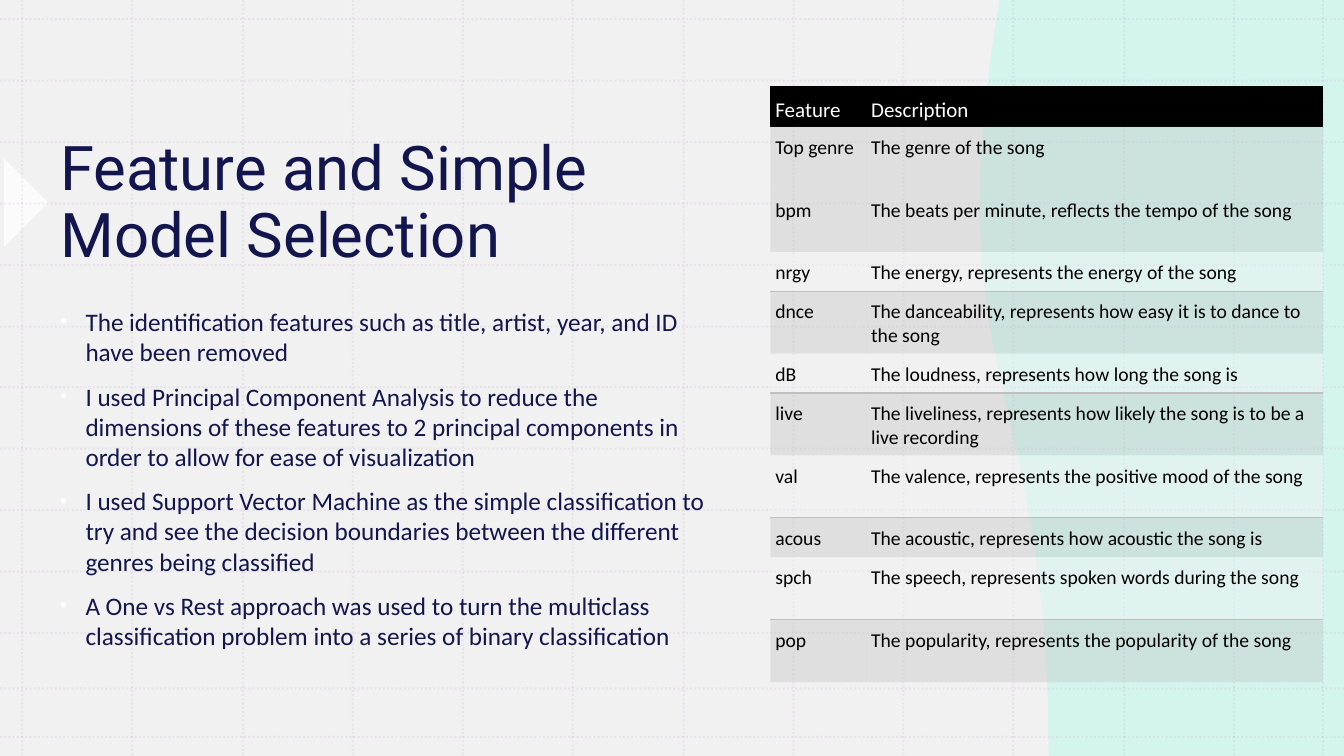
from dataclasses import dataclass

from lxml import etree
from pptx import Presentation
from pptx import util as u
from pptx.dml.color import RGBColor
from pptx.enum import dml, shapes, text
from pptx.oxml import parse_xml
from pptx.oxml.ns import nsdecls, qn

PX = 9144  # EMU, one hundredth of an inch
WIDTH, HEIGHT = 1333, 750

NAVY = RGBColor(0x12, 0x15, 0x4E)
WHITE = RGBColor(0xFF, 0xFF, 0xFF)
BLACK = RGBColor(0x00, 0x00, 0x00)
PAPER = RGBColor(0xEE, 0xEE, 0xEE)
MINT = RGBColor(0xCD, 0xF7, 0xEE)
MAUVE = RGBColor(0xB4, 0x95, 0xC2)
GREY = RGBColor(0xBF, 0xBF, 0xBF)
PALE = RGBColor(0xF2, 0xF2, 0xF2)


@dataclass(frozen=True)
class Backdrop:
    kind: shapes.MSO_SHAPE
    left: int
    top: int
    width: int
    height: int
    rotation: int
    color: RGBColor
    opacity: int


@dataclass(frozen=True)
class Feature:
    name: str
    description: str
    height: int = 62
    dark: bool = False


BACKDROPS = [
    Backdrop(shapes.MSO_SHAPE.RECTANGLE, 0, 0, WIDTH, HEIGHT, 0, PAPER, 80),
    Backdrop(shapes.MSO_SHAPE.RIGHT_TRIANGLE, -27, 170, 62, 62, 225, WHITE, 75),
    Backdrop(shapes.MSO_SHAPE.FLOWCHART_DOCUMENT, 776, 191, 750, 368, 90, MINT, 80),
]

COLUMNS = [round(22 + 109.27 * i) for i in range(12)] + [1312]
ROWS = [round(19 + 60.9 * i) for i in range(11)] + [683, 731]

TITLE = "Feature and Simple Model Selection"
POINTS = [
    "The identification features such as title, artist, year, and ID have been removed",
    "I used Principal Component Analysis to reduce the dimensions of these features "
    "to 2 principal components in order to allow for ease of visualization",
    "I used Support Vector Machine as the simple classification to try and see the "
    "decision boundaries between the different genres being classified",
    "A One vs Rest approach was used to turn the multiclass classification problem "
    "into a series of binary classification",
]

HEADER = Feature("Feature", "Description", 41)
FEATURES = [
    Feature("Top genre", "The genre of the song", dark=True),
    Feature("bpm", "The beats per minute, reflects the tempo of the song", dark=True),
    Feature("nrgy", "The energy, represents the energy of the song", 39),
    Feature("dnce", "The danceability, represents how easy it is to dance to the song", dark=True),
    Feature("dB", "The loudness, represents how long the song is", 39),
    Feature("live", "The liveliness, represents how likely the song is to be a live recording",
            dark=True),
    Feature("val", "The valence, represents the positive mood of the song"),
    Feature("acous", "The acoustic, represents how acoustic the song is", 39, dark=True),
    Feature("spch", "The speech, represents spoken words during the song"),
    Feature("pop", "The popularity, represents the popularity of the song", dark=True),
]


def px(*lengths: int) -> list[u.Emu]:
    return [u.Emu(length * PX) for length in lengths]


def set_opacity(properties, percent: int) -> None:
    """Make the first colour in the given XML properties translucent."""
    color = properties.find(".//" + qn("a:srgbClr"))
    etree.SubElement(color, qn("a:alpha")).set("val", str(percent * 1000))


def style_text(para, font: str, size: int, color: RGBColor) -> None:
    for span in para.runs:
        span.font.name = font
        span.font.size = u.Pt(size)
        span.font.color.rgb = color


def draw_backdrop(page, item: Backdrop) -> None:
    shape = page.shapes.add_shape(
        item.kind, *px(item.left, item.top, item.width, item.height))
    shape.rotation = item.rotation
    shape.shadow.inherit = False
    shape.fill.solid()
    shape.fill.fore_color.rgb = item.color
    set_opacity(shape.element.spPr, item.opacity)
    shape.line.fill.background()


def draw_grid(page) -> None:
    grid = page.shapes.add_group_shape()
    ends = [(x, 0, x, HEIGHT) for x in COLUMNS] + [(0, y, WIDTH, y) for y in ROWS]
    for line_ends in ends:
        line = grid.shapes.add_connector(shapes.MSO_CONNECTOR.STRAIGHT, *px(*line_ends))
        line.line.color.rgb = MAUVE
        line.line.width = u.Pt(1.5)
        line.line.dash_style = dml.MSO_LINE.ROUND_DOT
        properties = line.element.spPr
        set_opacity(properties, 15)
        etree.SubElement(properties, qn("a:effectLst"))


def add_box(page, left: int, top: int, width: int, height: int):
    box = page.shapes.add_textbox(*px(left, top, width, height))
    box.text_frame.word_wrap = True
    return box


def draw_title(page) -> None:
    frame = add_box(page, 50, 80, 674, 245).text_frame
    frame.vertical_anchor = text.MSO_ANCHOR.MIDDLE
    frame.text = TITLE
    para = frame.paragraphs[0]
    para.line_spacing = 0.9
    style_text(para, "Roboto", 44, NAVY)


def add_bullet(para) -> None:
    properties = para._p.get_or_add_pPr()
    properties.set("marL", str(25 * PX))
    properties.set("indent", str(-25 * PX))
    for mark in (
        f'<a:buClr {nsdecls("a")}><a:srgbClr val="{WHITE}"/></a:buClr>',
        f'<a:buSzPct {nsdecls("a")} val="75000"/>',
        f'<a:buFont {nsdecls("a")} typeface="Arial"/>',
        f'<a:buChar {nsdecls("a")} char="•"/>',
    ):
        properties.append(parse_xml(mark))


def draw_points(page) -> None:
    frame = add_box(page, 50, 299, 674, 413).text_frame
    frame.text = "\n".join(POINTS)
    for para in frame.paragraphs:
        para.space_before = u.Pt(10)
        add_bullet(para)
        style_text(para, "Calibri", 18, NAVY)


def set_borders(cell, ruled: set[str]) -> None:
    """Rule the named sides (L, R, T, B) in grey and clear the others."""
    properties = cell._tc.get_or_add_tcPr()
    for position, side in enumerate("LRTB"):
        paint = (f'<a:solidFill><a:srgbClr val="{GREY}"/></a:solidFill>'
                 if side in ruled else "<a:noFill/>")
        border = f'<a:ln{side} {nsdecls("a")} w="12700">{paint}</a:ln{side}>'
        properties.insert(position, parse_xml(border))


def fill_cell(cell, words: str, size: int, ink: RGBColor, fill: RGBColor, opacity: int) -> None:
    cell.text = words
    cell.margin_left, cell.margin_top, cell.margin_right, cell.margin_bottom = px(5, 9, 5, 2)
    style_text(cell.text_frame.paragraphs[0], "Calibri", size, ink)
    cell.fill.solid()
    cell.fill.fore_color.rgb = fill
    set_opacity(cell._tc.tcPr, opacity)


def draw_features(page) -> None:
    entries = [HEADER, *FEATURES]
    frame = page.shapes.add_table(len(entries), 2, *px(764, 85, 548, 592))
    table = frame.table
    table.first_row = table.horz_banding = False
    for column, width in zip(table.columns, px(95, 453)):
        column.width = width
    for number, entry in enumerate(entries):
        table.rows[number].height = px(entry.height)[0]
        is_header = entry is HEADER
        after_light = number > 1 and not entries[number - 1].dark
        ruled = set() if is_header else {"T"} if after_light else set()
        if not is_header and not entry.dark:
            ruled = {"B"}
        for cell, words in zip(table.rows[number].cells, (entry.name, entry.description)):
            if is_header:
                fill_cell(cell, words, 15, WHITE, BLACK, 100)
                cell.vertical_anchor = text.MSO_ANCHOR.MIDDLE
            else:
                fill, opacity = (GREY, 35) if entry.dark else (PALE, 45)
                fill_cell(cell, words, 14, BLACK, fill, opacity)
            set_borders(cell, ruled)


def main() -> None:
    deck = Presentation()
    deck.slide_width, deck.slide_height = px(WIDTH, HEIGHT)
    page = deck.slides.add_slide(deck.slide_layouts[6])
    for item in BACKDROPS:
        draw_backdrop(page, item)
    draw_grid(page)
    draw_title(page)
    draw_points(page)
    draw_features(page)
    deck.save("out.pptx")


if __name__ == "__main__":
    main()
